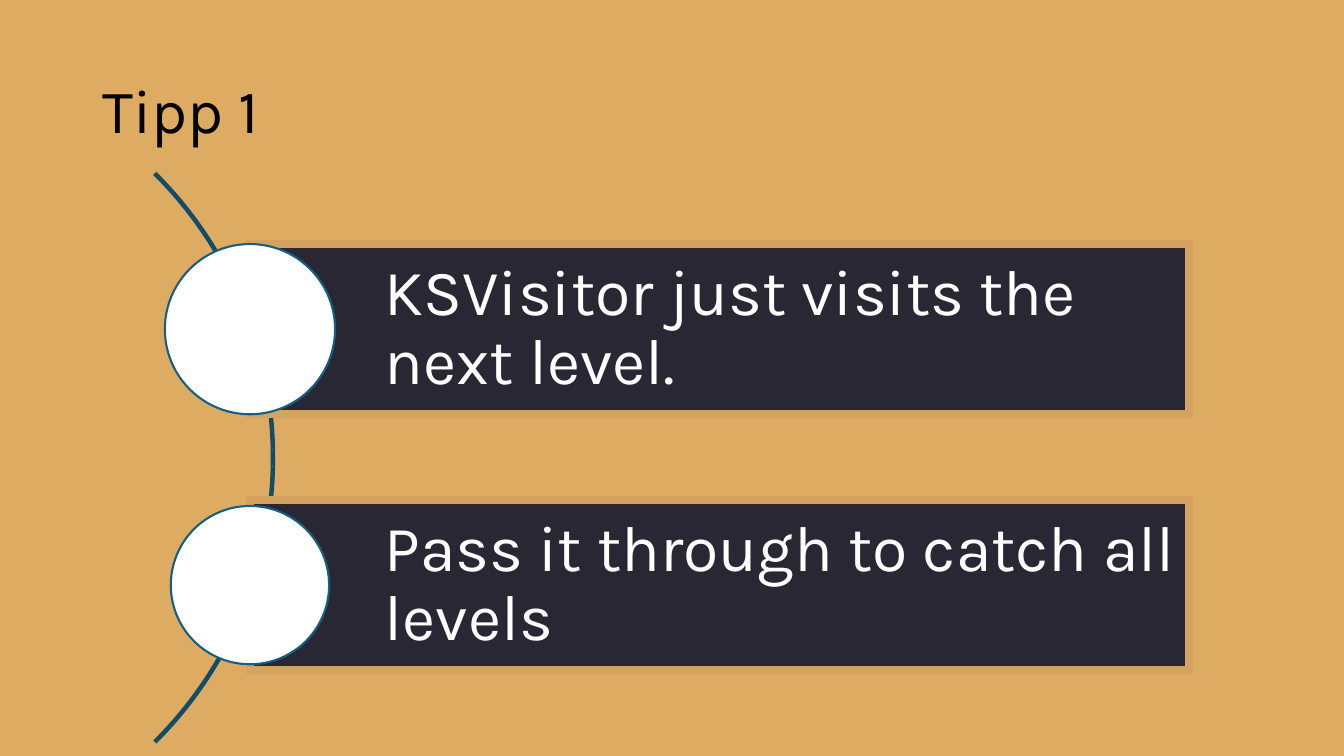
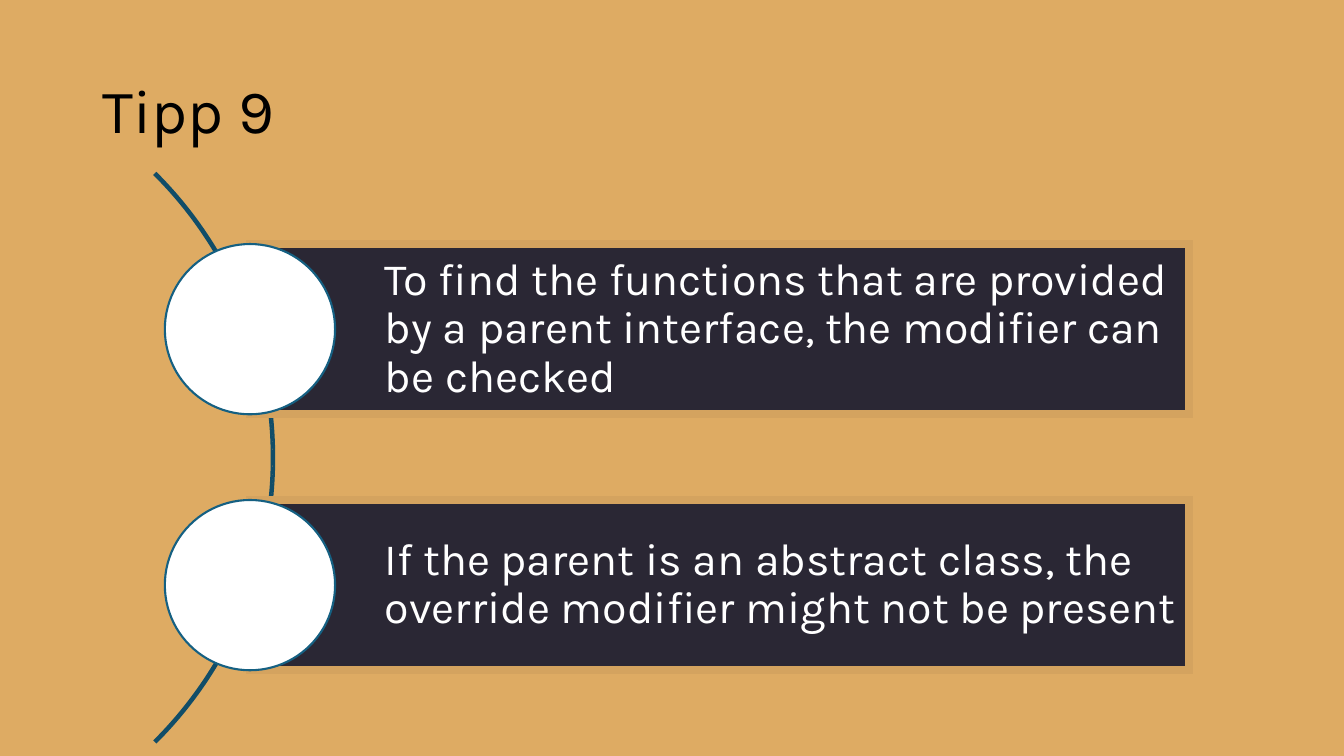
from lxml import etree
from pptx import Presentation
from pptx import util as u
from pptx.dml.color import RGBColor
from pptx.enum import shapes, text
from pptx.oxml.ns import qn

TIPS = [
    {
        "title": "Tipp 1",
        "size": 46,
        "points": [
            # text, diameter of its circle in cm
            ("KSVisitor just visits the next level.", 4.29),
            ("Pass it through to catch all levels", 3.99),
        ],
    },
    {
        "title": "Tipp 9",
        "size": 32,
        "points": [
            ("To find the functions that are provided by a parent interface, "
             "the modifier can be checked", 4.29),
            ("If the parent is an abstract class, the override modifier "
             "might not be present", 4.29),
        ],
    },
]

SAND = RGBColor(0xDE, 0xAB, 0x63)
DARK_SAND = RGBColor(0xD4, 0xA3, 0x5F)
NIGHT = RGBColor(0x2A, 0x27, 0x34)
ARC_BLUE = RGBColor(0x11, 0x4D, 0x68)
CIRCLE_BLUE = RGBColor(0x15, 0x60, 0x82)
WHITE = RGBColor(0xFF, 0xFF, 0xFF)
BLACK = RGBColor(0, 0, 0)

FONT = "Karla"
TITLE_SIZE = 44

# Lengths in cm
TITLE_BOX = (2.33, 1.02, 29.21, 3.68)
ARC_LEFT, ARC_TOP, ARC_DIAMETER = -13.36, 1.4, 20.27
BAR_LEFT, BAR_TOP, BAR_WIDTH, BAR_HEIGHT = 6.3, 6.15, 23.67, 4.29
BAR_PITCH = 6.45
BAR_INDENT = 3.4


def add_shape(slide, preset, box, fill, line, line_width):
    shape = slide.shapes.add_shape(preset, *(u.Cm(length) for length in box))
    shape.shadow.inherit = False
    if fill is None:
        shape.fill.background()
    else:
        shape.fill.solid()
        shape.fill.fore_color.rgb = fill
    shape.line.color.rgb = line
    shape.line.width = u.Pt(line_width)
    outline = shape._element.spPr.find(qn("a:ln"))
    etree.SubElement(outline, qn("a:miter"), lim="800000")
    return shape


def write(shape, content, size, color):
    frame = shape.text_frame
    frame.word_wrap = True
    frame.vertical_anchor = text.MSO_ANCHOR.MIDDLE
    paragraph = frame.paragraphs[0]
    paragraph.alignment = text.PP_ALIGN.LEFT
    paragraph.line_spacing = 0.9
    run = paragraph.add_run()
    run.text = content
    run.font.name = FONT
    run.font.size = u.Pt(size)
    run.font.color.rgb = color
    return frame


def add_arc(slide):
    arc = add_shape(slide, shapes.MSO_SHAPE.BLOCK_ARC,
                    (ARC_LEFT, ARC_TOP, ARC_DIAMETER, ARC_DIAMETER),
                    None, ARC_BLUE, 1.5)
    for index, value in enumerate((189, 27, 0.003)):
        arc.adjustments[index] = value


def add_point(slide, top, content, size, diameter):
    """Add a text bar with a circle centred on its left edge."""
    bar = add_shape(slide, shapes.MSO_SHAPE.RECTANGLE,
                    (BAR_LEFT, top, BAR_WIDTH, BAR_HEIGHT), NIGHT, DARK_SAND, 6)
    frame = write(bar, content, size, WHITE)
    frame.margin_left = u.Cm(BAR_INDENT)
    frame.margin_top = frame.margin_right = frame.margin_bottom = u.Pt(size * 0.2)
    add_shape(slide, shapes.MSO_SHAPE.OVAL,
              (BAR_LEFT - diameter / 2, top + (BAR_HEIGHT - diameter) / 2,
               diameter, diameter), WHITE, CIRCLE_BLUE, 1.5)


def add_tip(presentation, tip):
    slide = presentation.slides.add_slide(presentation.slide_layouts[6])
    add_arc(slide)
    for index, (content, diameter) in enumerate(tip["points"]):
        add_point(slide, BAR_TOP + index * BAR_PITCH, content, tip["size"], diameter)
    title = slide.shapes.add_textbox(*(u.Cm(length) for length in TITLE_BOX))
    write(title, tip["title"], TITLE_SIZE, BLACK)


def main():
    presentation = Presentation()
    presentation.slide_width = u.Cm(33.87)
    presentation.slide_height = u.Cm(19.05)
    background = presentation.slide_master.background.fill
    background.solid()
    background.fore_color.rgb = SAND
    for tip in TIPS:
        add_tip(presentation, tip)
    presentation.save("out.pptx")


if __name__ == "__main__":
    main()
